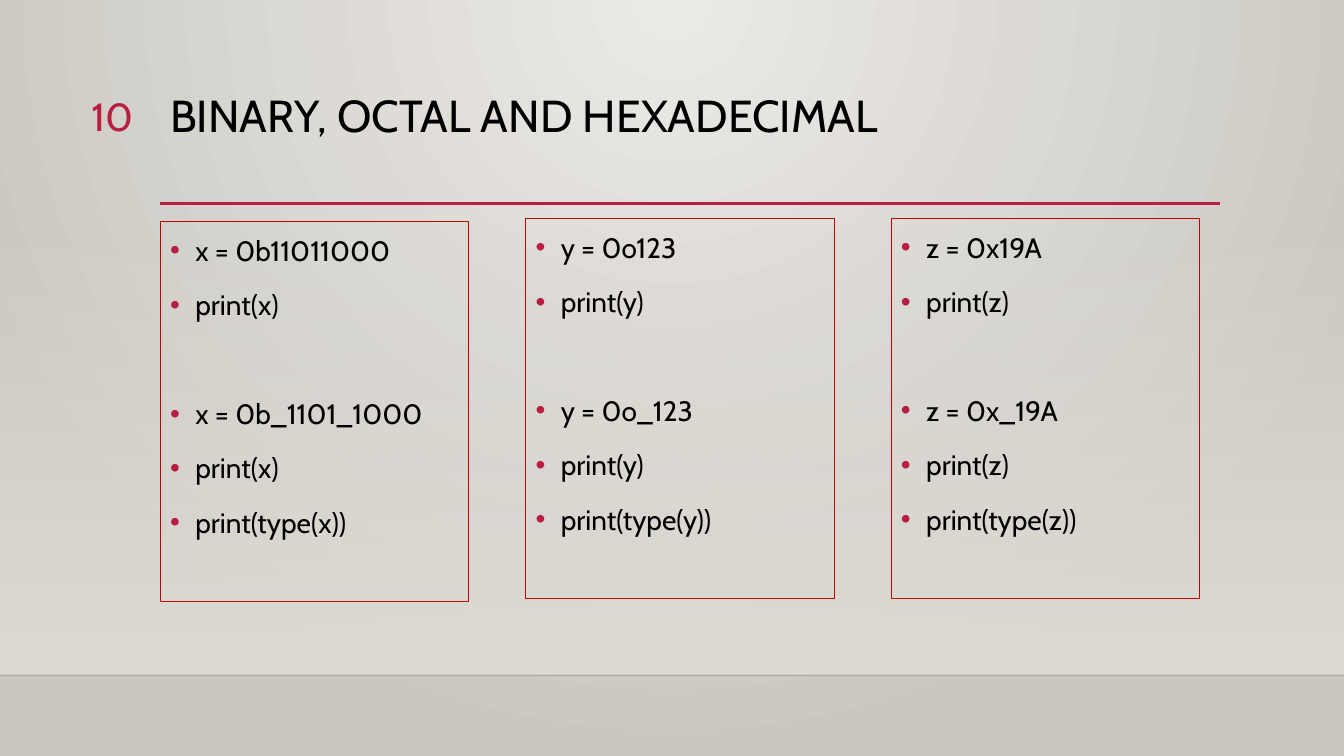
from dataclasses import dataclass

from pptx import Presentation
from pptx.dml.color import RGBColor as Color
from pptx.enum.shapes import MSO_CONNECTOR as Connector, MSO_SHAPE as Preset
from pptx.enum.text import MSO_ANCHOR as Anchor, PP_ALIGN as Align
from pptx.oxml import parse_xml
from pptx.oxml.ns import nsdecls, qn
from pptx.oxml.xmlchemy import OxmlElement
from pptx.util import Pt

FONT = "Cabin"
COLORS = {
    "glow": "ECEAE7",
    "edge": "CAC7C1",
    "wall": "DFDBD5",
    "floor": "000001",
    "accent": "B71E42",
    "border": "C00000",
    "text": "000000",
}
PAGE_WIDTH, PAGE_HEIGHT = 960, 540
MARGIN = 114.5
COLUMN_STEP = 261
GAP_ROW = 2  # the second group of statements starts here


@dataclass
class Rule:
    left: float
    right: float
    top: float
    weight: float
    color: str
    opacity: int = 100


@dataclass
class Label:
    text: str
    left: float
    top: float
    width: float
    height: float
    size: float
    color: str
    align: Align = Align.LEFT
    spacing: float = 1.0


@dataclass
class Column:
    name: str
    plain: str
    grouped: str
    top: float

    def statements(self) -> list[str]:
        name = self.name
        return [f"{name} = {self.plain}", f"print({name})",
                f"{name} = {self.grouped}", f"print({name})", f"print(type({name}))"]


RULES = [
    Rule(0, PAGE_WIDTH, 482.4, 1, "floor", 20),
    Rule(MARGIN, 871.2, 145.4, 2.5, "accent"),
]
LABELS = [
    Label("BINARY, OCTAL AND HEXADECIMAL", MARGIN, 63.4, 756, 82.8, 32, "text", spacing=0.9),
    Label("10", 38.2, 62.6, 64, 39.6, 28, "accent", Align.RIGHT),
]
COLUMNS = [
    Column("x", "0b11011000", "0b_1101_1000", 158.4),
    Column("y", "0o123", "0o_123", 156.2),
    Column("z", "0x19A", "0x_19A", 156.2),
]


def color(name: str) -> Color:
    return Color.from_string(COLORS[name])


def set_opacity(color_element, percent: int) -> None:
    alpha = OxmlElement("a:alpha")
    alpha.set("val", str(percent * 1000))
    color_element.append(alpha)


def set_gradient(fill, first: str, last: str) -> None:
    fill.gradient()
    for stop, name in zip(fill.gradient_stops, (first, last)):
        stop.color.rgb = color(name)


def draw_background(page) -> None:
    # Radial glow from the top centre
    set_gradient(page.background.fill, "glow", "edge")
    gradient = page.element.find(".//" + qn("p:bgPr")).find(qn("a:gradFill"))
    gradient.replace(gradient.find(qn("a:lin")), parse_xml(
        f'<a:path {nsdecls("a")} path="circle">'
        '<a:fillToRect l="43000" t="0" r="43000" b="100000"/></a:path>'))

    # Wall that fades in towards the floor
    wall = page.shapes.add_shape(Preset.RECTANGLE, 0, Pt(159.1), Pt(PAGE_WIDTH), Pt(323.3))
    wall.shadow.inherit = False
    wall.line.fill.background()
    set_gradient(wall.fill, "wall", "wall")
    wall.fill.gradient_angle = 270
    set_opacity(wall.element.spPr.find(".//" + qn("a:srgbClr")), 0)


def draw_rule(page, rule: Rule) -> None:
    line = page.shapes.add_connector(
        Connector.STRAIGHT, Pt(rule.left), Pt(rule.top), Pt(rule.right), Pt(rule.top))
    line.line.width = Pt(rule.weight)
    line.line.color.rgb = color(rule.color)
    properties = line.element.spPr
    if rule.opacity < 100:
        set_opacity(properties.find(".//" + qn("a:srgbClr")), rule.opacity)
    properties.append(OxmlElement("a:effectLst"))


def add_span(para, text: str, size: float, color_name: str) -> None:
    span = para.add_run()
    span.text = text
    span.font.name = FONT
    span.font.size = Pt(size)
    span.font.color.rgb = color(color_name)


def draw_label(page, label: Label) -> None:
    box = page.shapes.add_textbox(
        Pt(label.left), Pt(label.top), Pt(label.width), Pt(label.height))
    box.text_frame.word_wrap = True
    para = box.text_frame.paragraphs[0]
    para.alignment = label.align
    para.line_spacing = label.spacing
    add_span(para, label.text, label.size, label.color)


def add_bullet(para) -> None:
    properties = para._p.get_or_add_pPr()
    properties.set("marL", str(Pt(18)))
    properties.set("indent", str(-Pt(18)))
    for markup in (
        f'<a:buClr {nsdecls("a")}><a:srgbClr val="{COLORS["accent"]}"/></a:buClr>',
        f'<a:buFont {nsdecls("a")} typeface="Arial"/>',
        f'<a:buChar {nsdecls("a")} char="•"/>',
    ):
        properties.append(parse_xml(markup))


def draw_column(page, column: Column, left: float) -> None:
    box = page.shapes.add_shape(
        Preset.RECTANGLE, Pt(left), Pt(column.top), Pt(220.3), Pt(271.4))
    box.shadow.inherit = False
    box.fill.background()
    box.line.color.rgb = color("border")
    box.line.width = Pt(0.75)
    frame = box.text_frame
    frame.word_wrap = True
    frame.vertical_anchor = Anchor.TOP
    for row, statement in enumerate(column.statements()):
        para = frame.add_paragraph() if row else frame.paragraphs[0]
        para.alignment = Align.LEFT
        para.line_spacing = 1.2
        para.space_before = Pt(49 if row == GAP_ROW else 10)
        add_bullet(para)
        add_span(para, statement, 20, "text")


def main() -> None:
    deck = Presentation()
    deck.slide_width, deck.slide_height = Pt(PAGE_WIDTH), Pt(PAGE_HEIGHT)
    page = deck.slides.add_slide(deck.slide_layouts[6])

    draw_background(page)
    for rule in RULES:
        draw_rule(page, rule)
    for label in LABELS:
        draw_label(page, label)
    for index, column in enumerate(COLUMNS):
        draw_column(page, column, MARGIN + index * COLUMN_STEP)

    deck.save("out.pptx")


if __name__ == "__main__":
    main()
